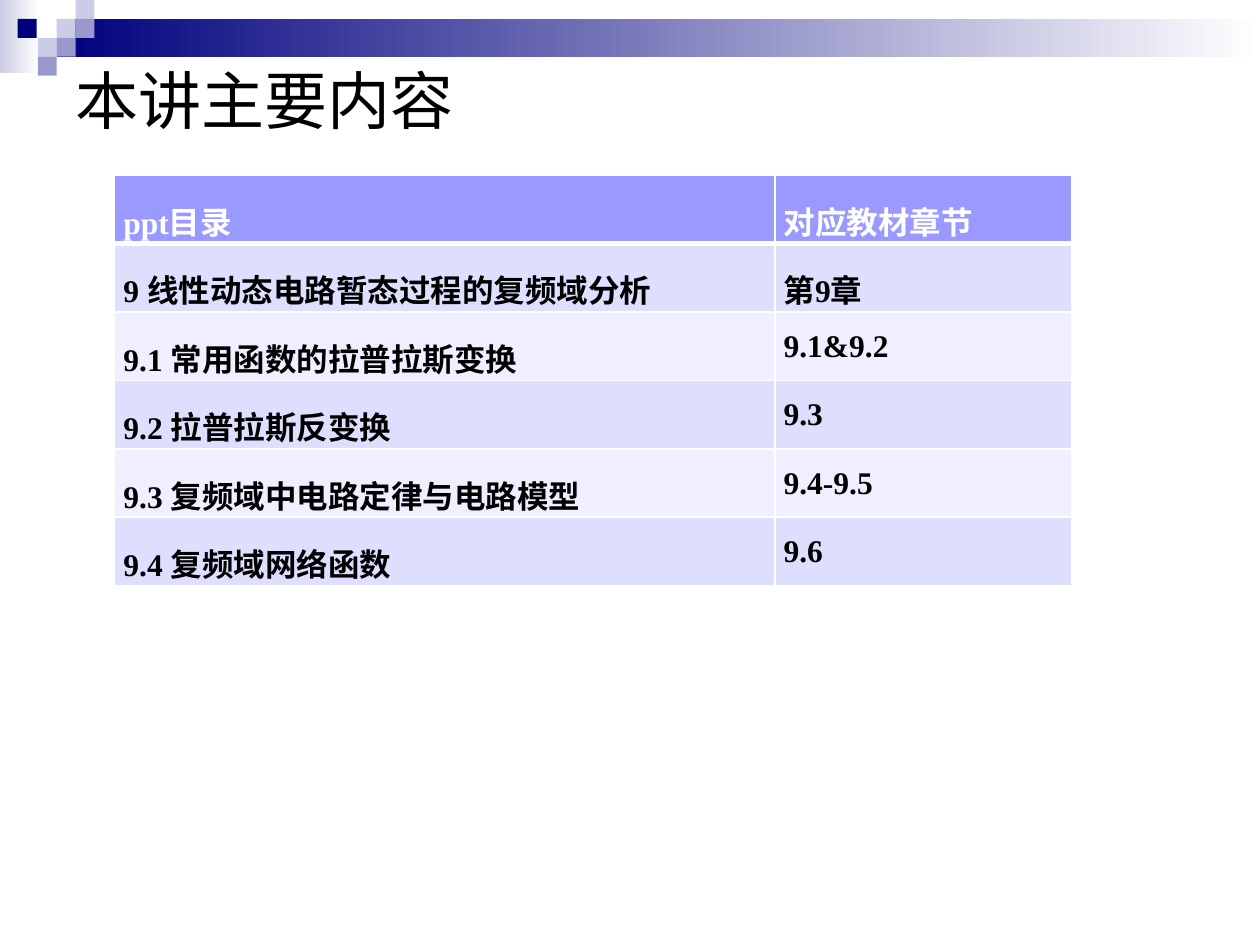
from lxml import etree
from pptx import Presentation
from pptx.dml.color import RGBColor
from pptx.enum.shapes import MSO_SHAPE
from pptx.enum.text import MSO_ANCHOR, PP_ALIGN
from pptx.oxml.ns import qn
from pptx.util import Inches, Pt

RECT = MSO_SHAPE.RECTANGLE
LEFT, JUSTIFY = PP_ALIGN.LEFT, PP_ALIGN.JUSTIFY
TOP, MIDDLE = MSO_ANCHOR.TOP, MSO_ANCHOR.MIDDLE
LATIN, CJK = "Times New Roman", "Noto Sans CJK SC"
COLORS = {
    "navy": "00007D", "lilac": "CCCCE6", "violet": "9999CC",
    "white": "FFFFFF", "black": "000000",
    "header": "9999FF", "band_dark": "DEDEFF", "band_light": "EFEFFF",
}
CONTENTS = [
    ("ppt目录", "对应教材章节"),
    ("9 线性动态电路暂态过程的复频域分析", "第9章"),
    ("9.1 常用函数的拉普拉斯变换", "9.1&9.2"),
    ("9.2 拉普拉斯反变换", "9.3"),
    ("9.3 复频域中电路定律与电路模型", "9.4-9.5"),
    ("9.4 复频域网络函数", "9.6"),
]


def rgb(name):
    return RGBColor.from_string(COLORS[name])


def write(tf, text, font=LATIN, size=18, color="black", bold=False,
          align=LEFT, spacing=1.0):
    p = tf.paragraphs[0]
    p.alignment = align
    p.line_spacing = spacing
    r = p.add_run()
    r.text = text
    r.font.name = font
    r.font.size = Pt(size)
    r.font.bold = bold
    r.font.color.rgb = rgb(color)
    ea = etree.SubElement(r.font._element, qn("a:ea"))
    ea.set("typeface", CJK)


class ContentsSlide:
    def __init__(self, prs):
        self.s = prs.slides.add_slide(prs.slide_layouts[5])

    def rect(self, x, y, w, h, color, fade_to=None):
        sp = self.s.shapes.add_shape(
            RECT, Inches(x), Inches(y), Inches(w), Inches(h))
        sp.shadow.inherit = False
        sp.line.fill.background()
        if fade_to:
            sp.fill.gradient()
            sp.fill.gradient_angle = 0
            for stop, name in zip(sp.fill.gradient_stops, (color, fade_to)):
                stop.color.rgb = rgb(name)
        else:
            sp.fill.solid()
            sp.fill.fore_color.rgb = rgb(color)

    def title(self, text, x, y, w, h):
        sp = self.s.shapes.title
        sp.left, sp.top, sp.width, sp.height = map(Inches, (x, y, w, h))
        tf = sp.text_frame
        tf.vertical_anchor = MIDDLE
        write(tf, text, font=CJK, size=36)

    def borders(self, cell, bottom):
        tc_pr = cell._tc.get_or_add_tcPr()
        for side, width in zip("LRTB", (1, 1, 1, bottom)):
            ln = etree.SubElement(tc_pr, qn(f"a:ln{side}"), w=str(Pt(width)))
            fill = etree.SubElement(ln, qn("a:solidFill"))
            etree.SubElement(fill, qn("a:srgbClr"), val=COLORS["white"])

    def table(self, rows, x, y, col_widths, row_height):
        table = self.s.shapes.add_table(
            len(rows), len(col_widths), Inches(x), Inches(y),
            Inches(sum(col_widths)), Inches(row_height * len(rows))).table
        for col, width in zip(table.columns, col_widths):
            col.width = Inches(width)
        for i, row in enumerate(rows):
            table.rows[i].height = Inches(row_height)
            band = "band_dark" if i % 2 else "band_light"
            for j, text in enumerate(row):
                cell = table.cell(i, j)
                cell.margin_left = cell.margin_right = Inches(0.07)
                cell.margin_top = cell.margin_bottom = 0
                cell.vertical_anchor = TOP
                self.borders(cell, bottom=1 if i else 3)
                cell.fill.solid()
                cell.fill.fore_color.rgb = rgb(band if i else "header")
                write(cell.text_frame, text, bold=True, align=JUSTIFY,
                      spacing=1.5, color="black" if i else "white")


def main():
    prs = Presentation()
    prs.slide_width, prs.slide_height = Inches(10), Inches(7.5)
    slide = ContentsSlide(prs)

    # Header bands
    slide.rect(0, 0, 0.31, 0.58, "lilac", fade_to="white")
    slide.rect(0.45, 0.15, 9.55, 0.3, "navy", fade_to="white")

    # Checker squares
    side = 0.15
    for col, row, color in [(3, 1, "lilac"), (4, 0, "lilac"),
                            (4, 1, "violet"), (2, 2, "lilac"),
                            (3, 2, "violet"), (2, 3, "violet")]:
        slide.rect(col * side, row * side, side, side, color)
    slide.rect(0.14, side, side, side, "navy")

    # Title and table of contents
    slide.title("本讲主要内容", 0.5, 0.5, 9, 0.58)
    slide.table(CONTENTS, 0.91, 1.39, (5.24, 2.36), 0.44)

    prs.save("out.pptx")


if __name__ == "__main__":
    main()
